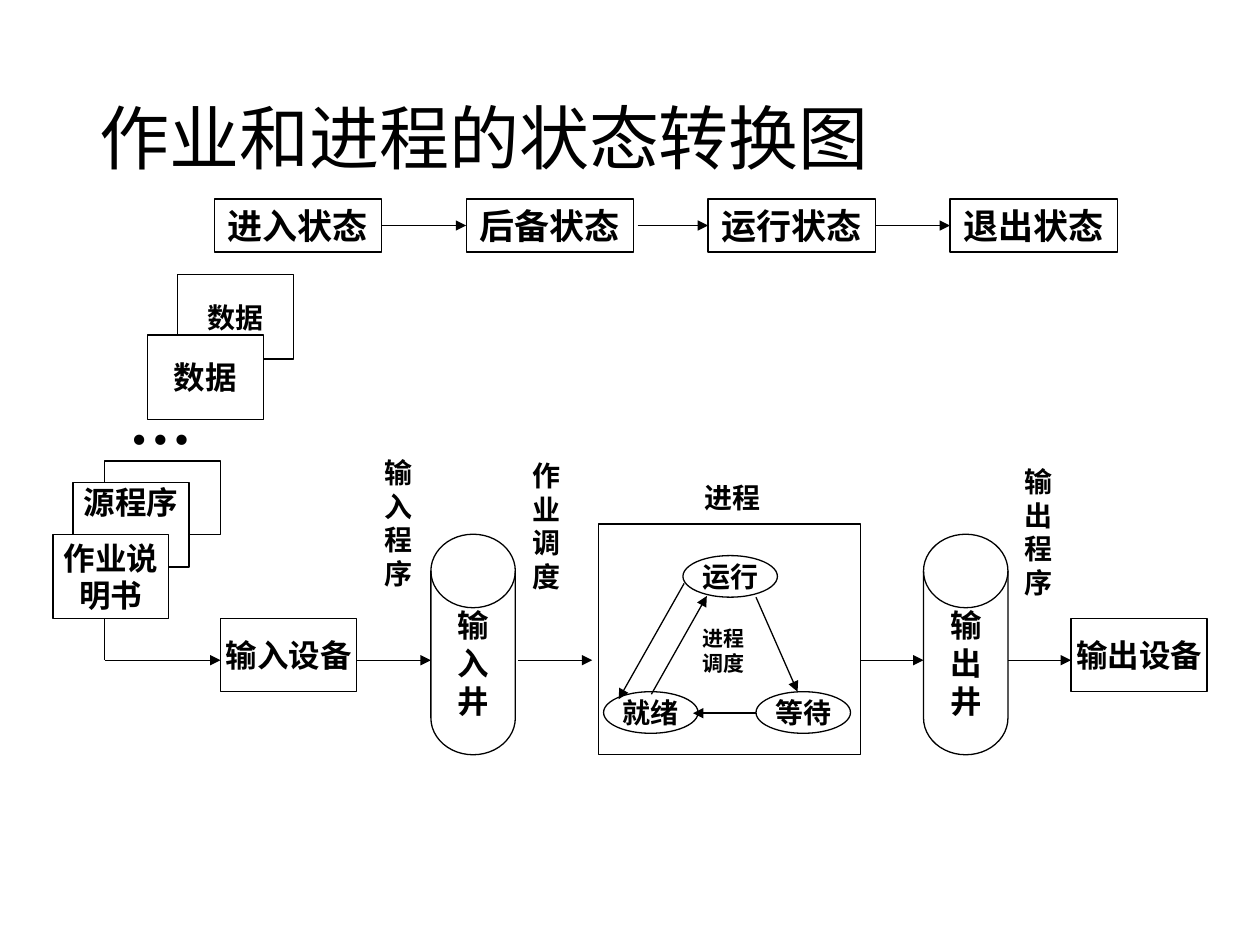
from lxml import etree
from pptx import Presentation
from pptx import util as u
from pptx.dml.color import RGBColor
from pptx.enum import shapes, text
from pptx.oxml.ns import qn

BLACK = RGBColor(0, 0, 0)
WHITE = RGBColor(255, 255, 255)
KIND = shapes.MSO_SHAPE


class Chart:
    """Holds the style and the slide being drawn."""
    font, head = "Times New Roman", "Calibri"
    width = u.Pt(0.75)

    def __init__(self, deck):
        self.slide = deck.slides.add_slide(deck.slide_layouts[5])

    def title(self, words):
        box = self.slide.shapes.title
        box.left, box.top = u.Inches(0.69), u.Inches(0.4)
        box.width, box.height = u.Inches(8.62), u.Inches(1.45)
        frame = box.text_frame
        frame.text = words
        frame.vertical_anchor = text.MSO_ANCHOR.MIDDLE
        para = frame.paragraphs[0]
        para.alignment = text.PP_ALIGN.LEFT
        para.line_spacing = 0.9
        self.style(para, 40, self.head, False)

    def style(self, para, size, name, bold):
        for run in para.runs:
            run.font.size = u.Pt(size)
            run.font.name = name
            run.font.bold = bold
            run.font.color.rgb = BLACK

    def box(self, x, y, w, h, words="", size=18, kind=KIND.RECTANGLE,
            line=BLACK, inset=None):
        """Draw a shape; an inset puts its text at the top, not the middle."""
        shape = self.slide.shapes.add_shape(
            kind, u.Inches(x), u.Inches(y), u.Inches(w), u.Inches(h))
        shape.shadow.inherit = False
        shape.fill.solid()
        shape.fill.fore_color.rgb = WHITE
        shape.line.color.rgb = line
        shape.line.width = self.width
        frame = shape.text_frame
        frame.text = words
        frame.word_wrap = False
        frame.vertical_anchor = text.MSO_ANCHOR.MIDDLE
        if inset is not None:
            frame.vertical_anchor = text.MSO_ANCHOR.TOP
            frame.margin_top = u.Inches(inset)
        for para in frame.paragraphs:
            para.alignment = text.PP_ALIGN.CENTER
            self.style(para, size, self.font, True)

    def label(self, x, y, w, h, words, size=16, inset=None):
        self.box(x, y, w, h, words, size, line=WHITE, inset=inset)

    def line(self, x1, y1, x2, y2, arrow=True):
        link = self.slide.shapes.add_connector(
            shapes.MSO_CONNECTOR.STRAIGHT, u.Inches(x1), u.Inches(y1),
            u.Inches(x2), u.Inches(y2))
        link.line.color.rgb = BLACK
        link.line.width = self.width
        if arrow:
            etree.SubElement(link.line._get_or_add_ln(), qn("a:tailEnd"),
                             type="triangle")
        etree.SubElement(link._element.spPr, qn("a:effectLst"))


def stack(word):
    """Set one character on each line."""
    return "\n".join(word)


def main():
    deck = Presentation()
    deck.slide_width, deck.slide_height = u.Inches(10), u.Inches(7.5)
    chart = Chart(deck)
    chart.title("作业和进程的状态转换图")

    # Job states along the top
    for x, word in ((1.7, "进入状态"), (3.7, "后备状态"),
                    (5.62, "运行状态"), (7.54, "退出状态")):
        chart.box(x, 1.58, 1.33, 0.42, word, 20)
    for x1, x2 in ((3.03, 3.7), (5.06, 5.62), (6.95, 7.54)):
        chart.line(x1, 1.79, x2, 1.79)

    # Pile of job cards, from back to front
    card = 0.92, 0.67
    chart.box(1.41, 2.18, *card, "数据", 16)
    chart.box(0.83, 3.66, 0.92, 0.58)
    chart.label(0.75, 3.16, 1.17, 0.33, "… ", 36)
    chart.box(1.17, 2.66, *card, "数据")
    chart.box(0.58, 3.83, *card, "源程序", inset=0)
    chart.box(0.42, 4.24, *card, "作业说\n明书")

    # Devices and wells
    for x, word in ((1.75, "输入设备"), (8.5, "输出设备")):
        chart.box(x, 4.91, 1.08, 0.58, word)
    for x, word in ((3.42, "输入井"), (7.33, "输出井")):
        chart.box(x, 4.24, 0.67, 1.75, stack(word),
                  kind=KIND.FLOWCHART_MAGNETIC_DISK)

    # Upright labels
    for x, y, word, inset in ((3, 3.4, "输入程序", None),
                              (8.08, 3.47, "输出程序", None),
                              (4.17, 3.55, "作业调度", 0.09)):
        chart.label(x, y, 0.33, 1.5, stack(word), inset=inset)

    # Process frame with its three states
    chart.label(5, 3.78, 1.62, 0.33, "进程")
    chart.box(4.75, 4.16, 2.08, 1.83)
    for x, y, word in ((5.42, 4.41, "运行"), (6, 5.49, "等待"),
                       (4.79, 5.49, "就绪")):
        chart.box(x, y, 0.75, 0.33, word, 16, KIND.OVAL)
    chart.label(5.58, 4.83, 0.33, 0.67, "进程\n调度", 12)
    for ends in ((6, 4.74, 6.33, 5.49), (6, 5.66, 5.5, 5.66),
                 (5.43, 4.63, 4.91, 5.55), (5.17, 5.51, 5.61, 4.73)):
        chart.line(*ends)

    # Flow from the job cards to the output device
    flow = 5.24
    chart.line(0.83, 4.91, 0.83, flow, arrow=False)
    for x1, x2 in ((0.83, 1.75), (2.83, 3.42), (4.11, 4.7),
                   (6.83, 7.33), (8, 8.5)):
        chart.line(x1, flow, x2, flow)

    deck.save("out.pptx")


if __name__ == "__main__":
    main()
